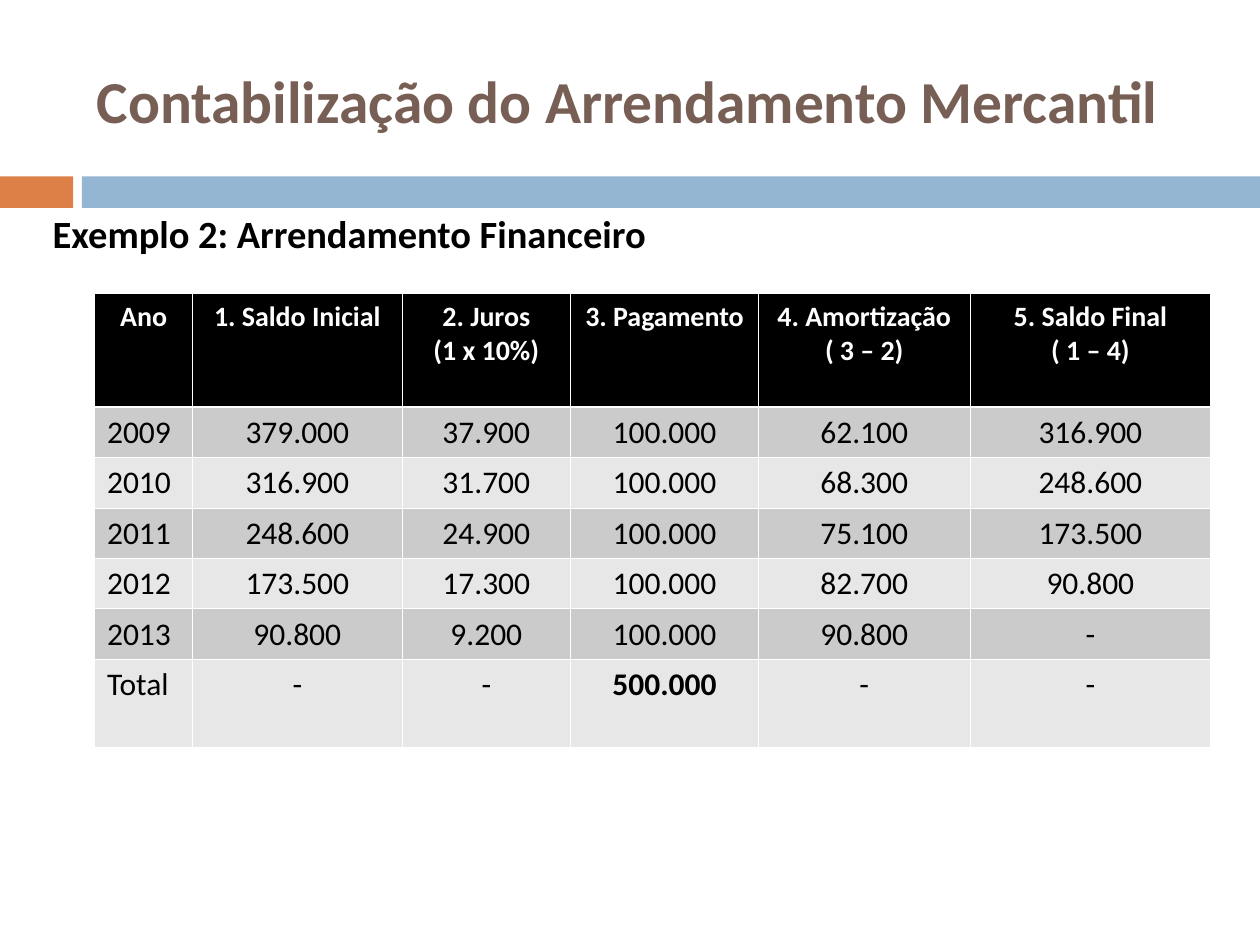
import pptx
import pptx.util
import pptx.dml.color
import pptx.enum.shapes
import pptx.enum.text
import pptx.oxml.ns
from lxml import etree

COLOURS = {
    "title": "775F55",
    "accent": "DD8047",
    "band": "94B6D2",
    "ink": "000000",
    "paper": "FFFFFF",
    "odd_row": "CBCBCB",
    "even_row": "E7E7E7",
}
ALIGN = pptx.enum.text.PP_ALIGN
ANCHOR = pptx.enum.text.MSO_ANCHOR


class LeaseSlide:
    font_name = "Calibri"
    columns, rows = 100, 75
    thin, thick = 0.45, 1.47

    def __init__(self, deck):
        self.slide = deck.slides.add_slide(deck.slide_layouts[6])
        self.column = deck.slide_width / self.columns
        self.row = deck.slide_height / self.rows

    def place(self, left, top, width, height):
        return (round(left * self.column), round(top * self.row),
                round(width * self.column), round(height * self.row))

    def colour(self, name):
        return pptx.dml.color.RGBColor.from_string(COLOURS[name])

    def style_text(self, frame, text, size, colour, bold, align):
        frame.text = text
        for paragraph in frame.paragraphs:
            paragraph.alignment = align
            for run in paragraph.runs:
                run.font.name = self.font_name
                run.font.size = pptx.util.Pt(size)
                run.font.bold = bold
                run.font.color.rgb = self.colour(colour)

    def bar(self, area, colour):
        bar = self.slide.shapes.add_shape(
            pptx.enum.shapes.MSO_SHAPE.RECTANGLE, *self.place(*area))
        bar.shadow.inherit = False
        bar.fill.solid()
        bar.fill.fore_color.rgb = self.colour(colour)
        bar.line.fill.background()

    def heading(self, area, text, size, colour, anchor=ANCHOR.TOP, indent=0):
        frame = self.slide.shapes.add_textbox(*self.place(*area)).text_frame
        frame.word_wrap = True
        frame.vertical_anchor = anchor
        self.style_text(frame, text, size, colour, True, ALIGN.JUSTIFY)
        margin = round(indent * self.column)
        frame.paragraphs[0]._p.get_or_add_pPr().set("marL", str(margin))

    def border(self, cell, side, width):
        line = etree.SubElement(
            cell._tc.get_or_add_tcPr(), pptx.oxml.ns.qn(f"a:ln{side}"),
            w=str(pptx.util.Pt(width)))
        fill = etree.SubElement(line, pptx.oxml.ns.qn("a:solidFill"))
        etree.SubElement(fill, pptx.oxml.ns.qn("a:srgbClr"), val=COLOURS["paper"])

    def table(self, left, top, widths, heights, records):
        area = self.place(left, top, sum(widths), sum(heights))
        table = self.slide.shapes.add_table(len(heights), len(widths), *area).table
        for column, width in zip(table.columns, widths):
            column.width = round(width * self.column)
        for row, height in zip(table.rows, heights):
            row.height = round(height * self.row)
        for r, record in enumerate(records):
            for c, text in enumerate(record):
                self.cell(table.cell(r, c), text, r, c)

    def cell(self, cell, text, r, c):
        header = r == 0
        for side in "LRTB":
            under_header = (r, side) in ((0, "B"), (1, "T"))
            self.border(cell, side, self.thick if under_header else self.thin)
        cell.fill.solid()
        fill = "ink" if header else "odd_row" if r % 2 else "even_row"
        cell.fill.fore_color.rgb = self.colour(fill)
        self.style_text(cell.text_frame, text, 16 if header else 18,
                        "paper" if header else "ink",
                        header or text == "500.000",
                        ALIGN.LEFT if c == 0 and not header else ALIGN.CENTER)


def main():
    deck = pptx.Presentation()
    deck.slide_width = pptx.util.Inches(10)
    deck.slide_height = pptx.util.Inches(7.5)
    lease = LeaseSlide(deck)

    lease.bar((0, 14, 5.8, 2.5), "accent")
    lease.bar((6.5, 14, 93.5, 2.5), "band")
    lease.heading((6.7, 2.5, 89.2, 10.8), "Contabilização do Arrendamento Mercantil",
                  34, "title", anchor=ANCHOR.MIDDLE)
    lease.heading((2.7, 16.2, 95.3, 55.9), "Exemplo 2: Arrendamento Financeiro",
                  22, "ink", indent=0.5)

    schedule = [
        ("Ano", "1. Saldo Inicial", "2. Juros\n(1 x 10%)", "3. Pagamento",
         "4. Amortização\n( 3 – 2)", "5. Saldo Final\n( 1 – 4)"),
        ("2009", "379.000", "37.900", "100.000", "62.100", "316.900"),
        ("2010", "316.900", "31.700", "100.000", "68.300", "248.600"),
        ("2011", "248.600", "24.900", "100.000", "75.100", "173.500"),
        ("2012", "173.500", "17.300", "100.000", "82.700", "90.800"),
        ("2013", "90.800", "9.200", "100.000", "90.800", "-"),
        ("Total", "-", "-", "500.000", "-", "-"),
    ]
    lease.table(7.5, 23.3, (7.8, 16.6, 13.4, 14.9, 16.8, 19.1),
                (9, *[4] * 5, 7), schedule)
    deck.save("out.pptx")


if __name__ == "__main__":
    main()
